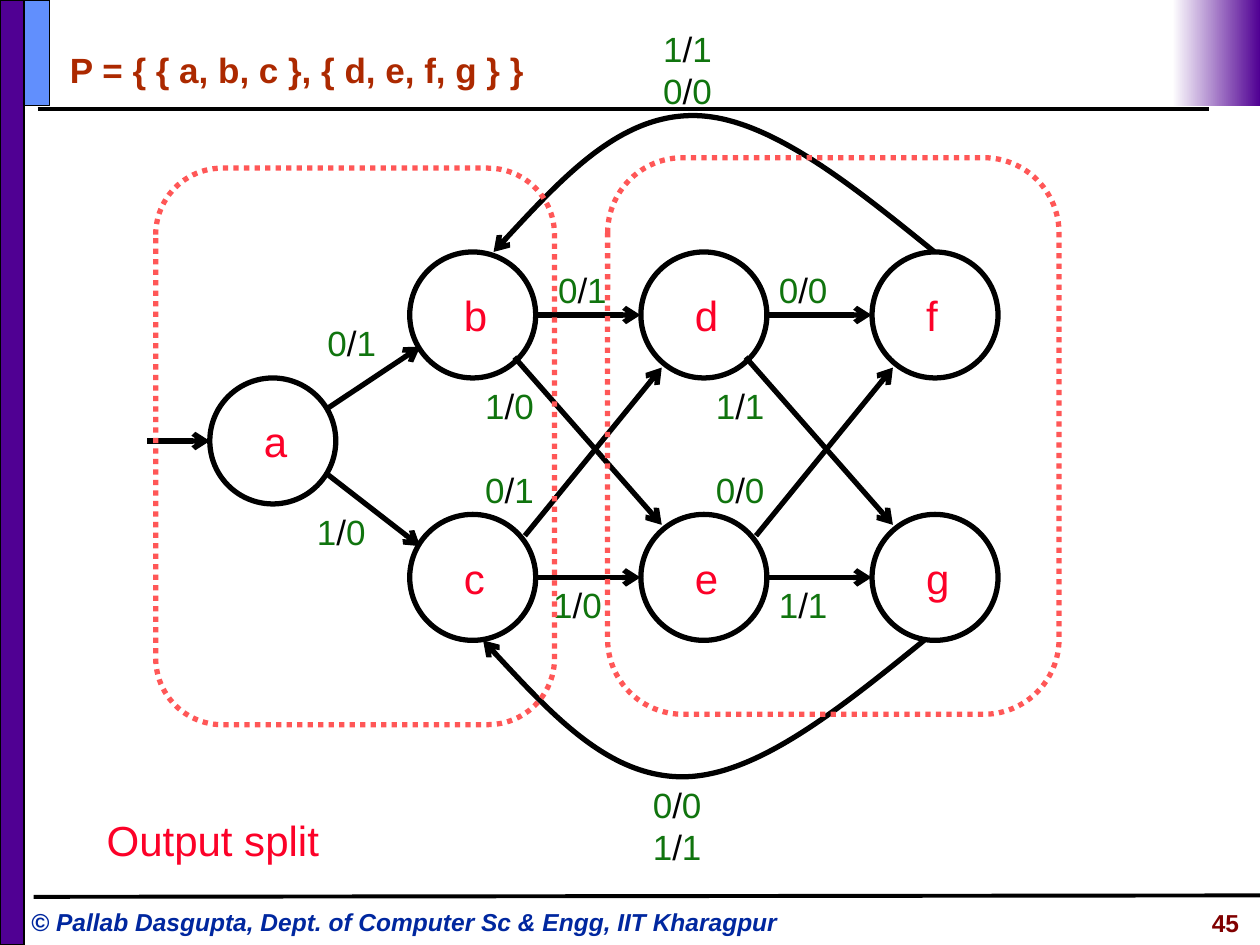
"""Build a slide showing the output split of a Mealy state machine."""
import lxml.etree
import pptx
import pptx.dml.color
import pptx.enum.dml
import pptx.enum.shapes
import pptx.enum.text
import pptx.oxml.ns
import pptx.util

Cm = pptx.util.Cm
Pt = pptx.util.Pt
qn = pptx.oxml.ns.qn
RGBColor = pptx.dml.color.RGBColor
SHAPE = pptx.enum.shapes.MSO_SHAPE
STRAIGHT = pptx.enum.shapes.MSO_CONNECTOR.STRAIGHT
ALIGN = pptx.enum.text.PP_ALIGN

BLACK = RGBColor(0x00, 0x00, 0x00)
WHITE = RGBColor(0xFF, 0xFF, 0xFF)
PURPLE = RGBColor(0x50, 0x00, 0x93)
BLUE = RGBColor(0x61, 0x8F, 0xFD)
NAVY = RGBColor(0x00, 0x27, 0x9F)
RED = RGBColor(0xFC, 0x01, 0x28)
GREEN = RGBColor(0x10, 0x74, 0x0E)
CORAL = RGBColor(0xFF, 0x57, 0x57)
RUST = RGBColor(0xAC, 0x29, 0x00)
MAROON = RGBColor(0x80, 0x00, 0x00)

prs = pptx.Presentation()
prs.slide_width, prs.slide_height = Cm(25.4), Cm(19.05)
shapes = prs.slides.add_slide(prs.slide_layouts[6]).shapes


def add_text(text, x, y, w, h, size=24, color=RED, bold=False, italic=False,
             align=ALIGN.LEFT, slash=None):
    tf = shapes.add_textbox(Cm(x), Cm(y), Cm(w), Cm(h)).text_frame
    tf.word_wrap = True
    p = tf.paragraphs[0]
    p.alignment = align
    for part in (text if slash else [text]):
        r = p.add_run()
        r.text = part
        r.font.name, r.font.size = "Arial", Pt(size)
        r.font.bold, r.font.italic = bold, italic
        r.font.color.rgb = slash if part == "/" else color


def outline(s, color=BLACK, width=3, arrow=False, dash=None):
    s.line.color.rgb = color
    s.line.width = Pt(width)
    if dash:
        s.line.dash_style = dash
    sp = s._element.spPr
    if arrow:
        lxml.etree.SubElement(sp.find(qn("a:ln")), qn("a:tailEnd"), type="arrow")
    lxml.etree.SubElement(sp, qn("a:effectLst"))


# slide frame
for x1, y1, x2, y2 in [(0.76, 2.2, 24.38, 2.2), (0.68, 18.08, 25.4, 18.05)]:
    outline(shapes.add_connector(STRAIGHT, Cm(x1), Cm(y1), Cm(x2), Cm(y2)), width=2.25)
for x, w, h, color in [(0, 0.48, 19.05, PURPLE), (0.48, 0.52, 2.13, BLUE)]:
    s = shapes.add_shape(SHAPE.RECTANGLE, Cm(x), 0, Cm(w), Cm(h))
    s.fill.solid()
    s.fill.fore_color.rgb = color
    outline(s, width=1)
s = shapes.add_shape(SHAPE.RECTANGLE, Cm(23.63), 0, Cm(1.77), Cm(2.13))
s.fill.gradient()
s.fill.gradient_angle = 0
for stop, color in zip(s.fill.gradient_stops, (WHITE, PURPLE)):
    stop.color.rgb = color
s.line.fill.background()
s.shadow.inherit = False

# states on a grid of columns and rows
LEFT, TOP, COL_STEP, ROW_STEP, SIZE = 8.26, 5.08, 4.66, 5.29, 2.54
states = [("a", 4.23, 7.62)]
for i, name in enumerate("bcdefg"):
    states.append((name, LEFT + i // 2 * COL_STEP, TOP + i % 2 * ROW_STEP))
for name, x, y in states:
    s = shapes.add_shape(SHAPE.OVAL, Cm(x), Cm(y), Cm(SIZE), Cm(SIZE))
    s.fill.background()
    outline(s)
    add_text(name, x + 0.84, y + 0.64, 1.07, 1.27)

# transitions
arrows = [(2.97, 8.89, 4.23, 8.89), (6.56, 8.26, 8.47, 6.99), (6.56, 9.53, 8.47, 11.01)]
for dx in (0, COL_STEP):
    for x1, y1, x2, y2 in [(10.8, 6.35, 12.91, 6.35), (10.37, 7.2, 13.34, 10.58),
                           (10.58, 10.8, 13.34, 7.41), (10.8, 11.64, 12.91, 11.64)]:
        arrows.append((x1 + dx, y1, x2 + dx, y2))
for x1, y1, x2, y2 in arrows:
    outline(shapes.add_connector(STRAIGHT, Cm(x1), Cm(y1), Cm(x2), Cm(y2)), arrow=True)

# curved transitions: start point, then Bezier control points
for x, y, bend in [(18.84, 5.08, -2.75), (18.63, 12.91, 2.75)]:
    points = [(-1.7, 0.5), (-3.39, 1), (-4.87, 1), (-6.35, 1), (-7.62, 0.5), (-8.89, 0)]
    builder = shapes.build_freeform(Cm(x), Cm(y))
    builder.add_line_segments([(Cm(x + dx), Cm(y + f * bend)) for dx, f in points], close=False)
    s = builder.convert_to_shape()
    s.fill.background()
    outline(s, arrow=True)
    curve = s._element.spPr.find(".//" + qn("a:path"))
    for i, segment in enumerate(curve.findall(qn("a:lnTo"))):
        if i % 3 == 0:
            bezier = lxml.etree.SubElement(curve, qn("a:cubicBezTo"))
        bezier.append(segment[0])
        curve.remove(segment)

# input/output labels
for text, x, y in [
    ("0/1", 6.35, 6.35), ("0/1", 11, 5.29), ("0/1", 9.53, 9.31),
    ("1/0", 6.14, 10.16), ("1/0", 9.53, 7.62), ("1/0", 10.9, 11.64),
    ("0/0", 15.45, 5.29), ("0/0", 14.18, 9.31), ("0/0", 13.12, 1.27),
    ("1/1", 14.18, 7.62), ("1/1", 15.45, 11.64), ("1/1", 13.12, 0.42),
    ("1/1", 12.91, 16.51), ("0/0", 12.91, 15.66),
]:
    add_text(text, x, y, 1.9, 1.11, size=20, color=GREEN, slash=BLACK)

# partition blocks
for x, y, w in [(3.14, 3.39, 8.04), (12.25, 3.18, 9.1)]:
    s = shapes.add_shape(SHAPE.ROUNDED_RECTANGLE, Cm(x), Cm(y), Cm(w), Cm(11.22))
    s.fill.background()
    outline(s, CORAL, dash=pptx.enum.dml.MSO_LINE.ROUND_DOT)

add_text("Output split", 1.9, 16.3, 6.99, 1.27)
add_text("P = { { a, b, c }, { d, e, f, g } }", 1.16, 0.85, 10.16, 1.11,
         size=20, color=RUST, bold=True)
add_text("© Pallab Dasgupta, Dept. of Computer Sc & Engg, IIT Kharagpur",
         0.38, 18.15, 16.19, 0.86, size=14, color=NAVY, bold=True, italic=True)
add_text("45", 20.78, 18.18, 4.45, 0.88, size=14, color=MAROON, bold=True, align=ALIGN.RIGHT)

prs.save("out.pptx")
